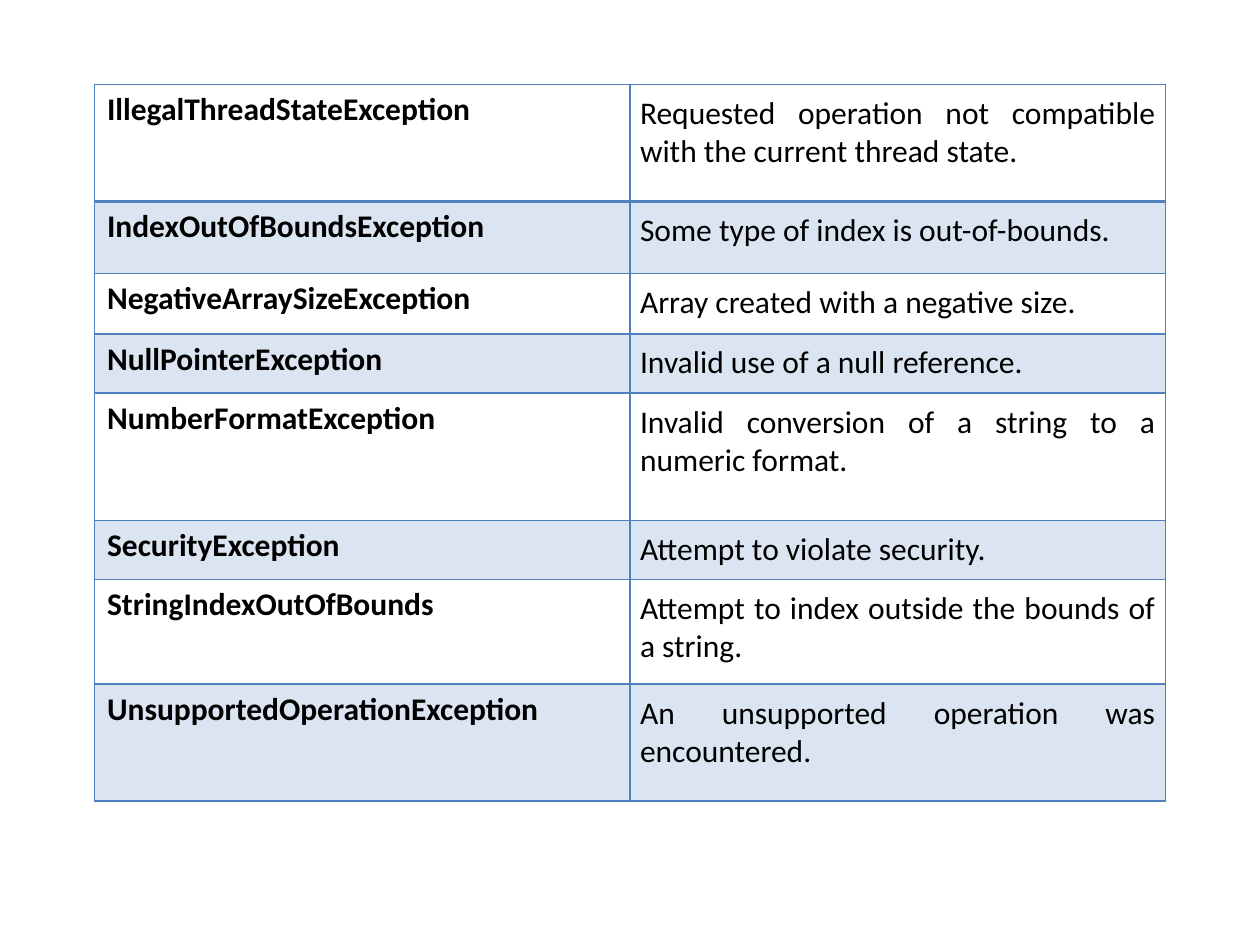
"""Build a slide with a table of Java's unchecked exceptions."""
from lxml.etree import SubElement
from pptx import Presentation
from pptx.dml.color import RGBColor
from pptx.enum.text import PP_ALIGN
from pptx.oxml import parse_xml
from pptx.oxml.ns import nsdecls, qn
from pptx.util import Inches, Pt

ROWS = [
    ("IllegalThreadStateException",
     "Requested operation not compatible with the current thread state.", 0.93),
    ("IndexOutOfBoundsException", "Some type of index is out-of-bounds.", 0.57),
    ("NegativeArraySizeException", "Array created with a negative size.", 0.48),
    ("NullPointerException", "Invalid use of a null reference.", 0.47),
    ("NumberFormatException",
     "Invalid conversion of a string to a numeric format.", 1.01),
    ("SecurityException", "Attempt to violate security.", 0.47),
    ("StringIndexOutOfBounds",
     "Attempt to index outside the bounds of a string.", 0.83),
    ("UnsupportedOperationException",
     "An unsupported operation was encountered.", 0.93),
]
THEME = {"font": "Calibri", "size": 18, "text": "000000",
         "accent": "4F81BD", "tint": 20, "line": 1, "rule": 2}
LEFT, TOP, COL = 0.75, 0.67, 4.25


def write(cell, text, bold=False, align=PP_ALIGN.LEFT, inset=None):
    if inset is not None:
        cell.margin_left = cell.margin_right = Inches(inset)
        cell.margin_top = cell.margin_bottom = Inches(inset)
    para = cell.text_frame.paragraphs[0]
    para.alignment = align
    run = para.add_run()
    run.text = text
    font = run.font
    font.name, font.size, font.bold = THEME["font"], Pt(THEME["size"]), bold
    font.color.rgb = RGBColor.from_string(THEME["text"])


def shade(cell, banded):
    if not banded:
        cell.fill.background()
        return
    cell.fill.solid()
    cell.fill.fore_color.rgb = RGBColor.from_string(THEME["accent"])
    color = next(cell._tc.tcPr.iter(qn("a:srgbClr")))
    SubElement(color, qn("a:alpha"), val=str(THEME["tint"] * 1000))


def edge(cell, **widths):
    props = cell._tc.get_or_add_tcPr()
    for spot, side in enumerate("LRTB"):
        width = Pt(widths.get(side, THEME["line"]))
        props.insert(spot, parse_xml(
            f'<a:ln{side} {nsdecls("a")} w="{width}"><a:solidFill>'
            f'<a:srgbClr val="{THEME["accent"]}"/></a:solidFill></a:ln{side}>'))


def main():
    deck = Presentation()
    deck.slide_width, deck.slide_height = Inches(10), Inches(7.5)
    slide = deck.slides.add_slide(deck.slide_layouts[6])
    total = sum(high for _, _, high in ROWS)
    table = slide.shapes.add_table(
        len(ROWS), 2, Inches(LEFT), Inches(TOP),
        Inches(2 * COL), Inches(total)).table
    table.first_row = table.horz_banding = False
    for col in table.columns:
        col.width = Inches(COL)
    for row, (name, note, high) in enumerate(ROWS):
        table.rows[row].height = Inches(high)
        write(table.cell(row, 0), name, bold=True)
        write(table.cell(row, 1), note, align=PP_ALIGN.JUSTIFY, inset=0.08)
        rules = {0: {"B": THEME["rule"]}, 1: {"T": THEME["rule"]}}
        for cell in table.rows[row].cells:
            shade(cell, banded=row % 2 == 1)
            edge(cell, **rules.get(row, {}))
    deck.save("out.pptx")


if __name__ == "__main__":
    main()
